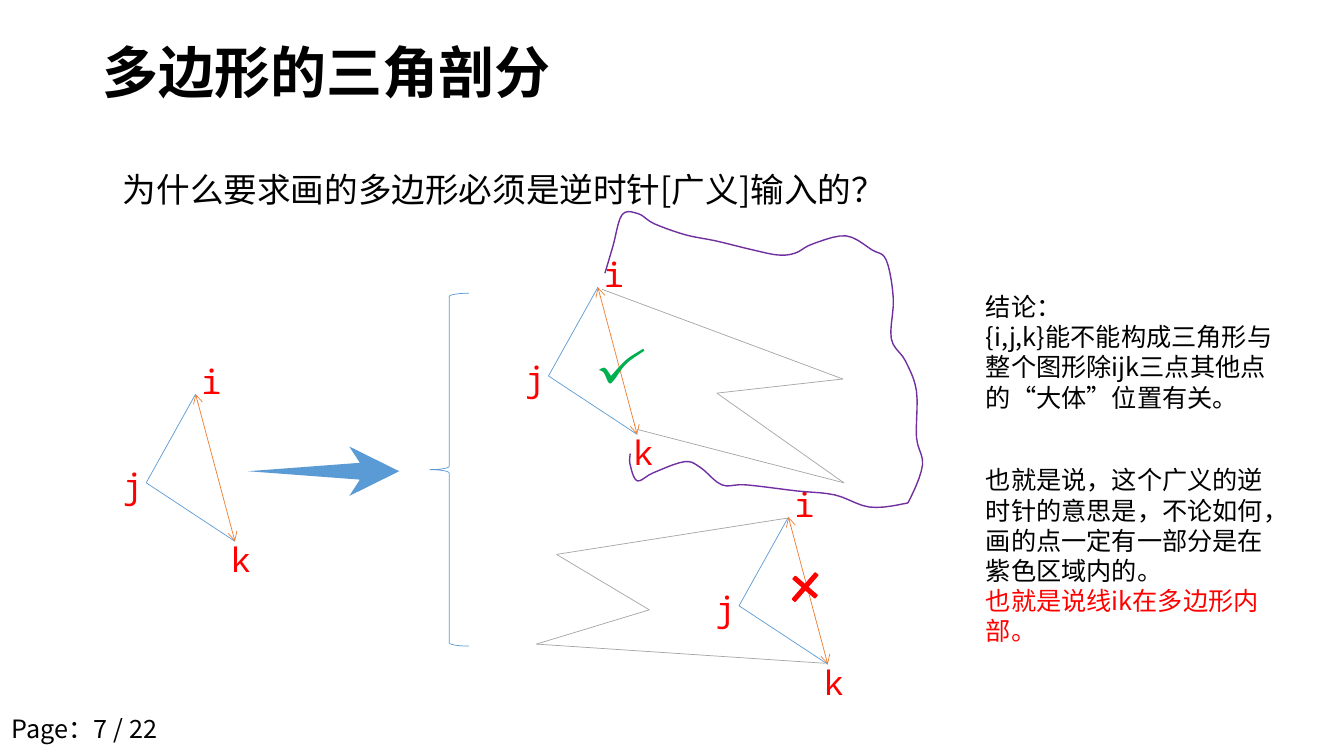
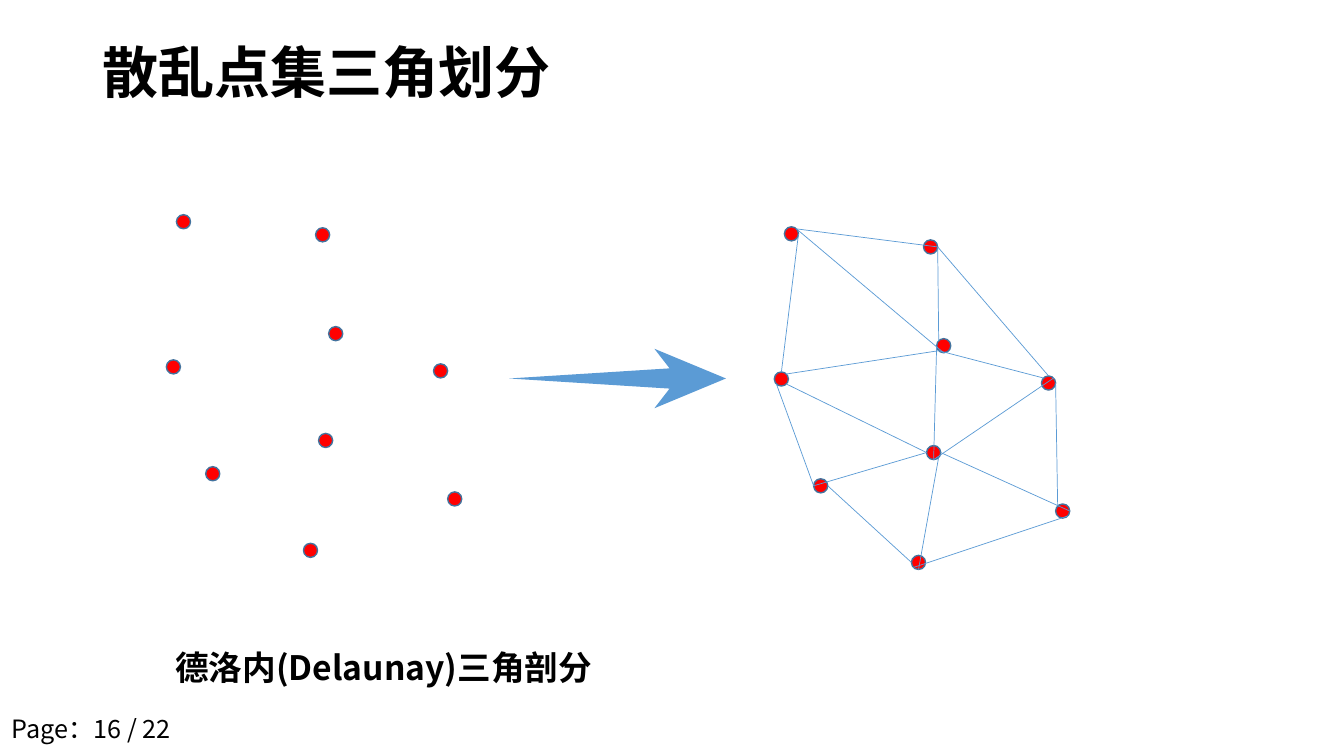
from itertools import pairwise
from math import sqrt

from lxml.etree import SubElement
from pptx import Presentation
from pptx.dml.color import RGBColor
from pptx.enum.shapes import MSO_CONNECTOR as Connector, MSO_SHAPE as Preset
from pptx.enum.text import MSO_ANCHOR as Anchor
from pptx.oxml.ns import qn
from pptx.util import Inches, Pt

COLORS = {
    "text": "000000",
    "red": "FF0000",
    "blue": "5B9BD5",
    "dot_edge": "43739E",
    "orange": "ED7D31",
    "gray": "A5A5A5",
    "green": "00B050",
    "purple": "7030A0",
}
SANS = "Noto Sans CJK SC"
MONO = "Noto Sans Mono"
PAGE_COUNT = 22

ARROW_TIP, ARROW_TAIL = (1, 0.5), (0, 0.5)
ARROW_BARB, ARROW_NOTCH = 0.67, (0.74, 0.33)

TRIANGLE_CORNERS = {"i": (0, 0), "j": (-0.49, 0.88), "k": (0.39, 1.46)}
TRIANGLE_LABELS = {"i": (-0.04, -0.38), "j": (-0.82, 0.65), "k": (0.25, 1.39)}
LONE_TRIANGLE = (1.94, 3.91)
INNER_TRIANGLE = (5.93, 2.85)
OUTER_TRIANGLE = (7.82, 5.13)

UPPER_POLYGON = [(6.32, 4.26), (8.37, 4.79), (7.11, 3.9), (8.36, 3.76), (5.97, 2.87)]
LOWER_POLYGON = [(7.81, 5.14), (5.52, 5.5), (6.44, 6.05), (5.32, 6.39), (8.18, 6.58)]

REGION_TOP = [
    (6, 2.71), (6.08, 2.44), (6.17, 2.13), (6.33, 2.12), (6.49, 2.22), (6.8, 2.33),
    (7.1, 2.39), (7.47, 2.48), (7.72, 2.53), (7.89, 2.51), (8.06, 2.42), (8.39, 2.34),
]
REGION_RIGHT = [
    (8.65, 2.48), (8.79, 2.58), (8.86, 2.96), (8.84, 3.36), (8.98, 3.58),
    (9.09, 3.88), (9.09, 4.34), (9.15, 4.61), (9.03, 4.94),
]
REGION_BOTTOM = [
    (8.95, 5), (8.62, 5.03), (8.28, 4.91), (7.9, 4.87), (7.4, 4.81), (7.16, 4.81),
    (6.95, 4.64), (6.79, 4.58), (6.48, 4.69), (6.32, 4.77), (6.25, 4.61), (6.25, 4.5),
]
TICK_UNDERSIDE = [(6.39, 3.48), (6.21, 3.61), (6.09, 3.77), (6.04, 3.8),
                  (5.99, 3.7), (5.94, 3.67)]
TICK_HOOK = [(5.94, 3.67), (6, 3.65), (6.06, 3.73)]
TICK_UPSTROKE = [(6.06, 3.73), (6.21, 3.57), (6.38, 3.46)]

DOT_SIZE = 0.14
DOTS = {
    "A": (1.75, 2.13), "B": (3.13, 2.26), "C": (3.26, 3.24),
    "D": (3.16, 4.3), "E": (4.3, 3.61), "F": (4.44, 4.88),
    "G": (3.01, 5.39), "H": (2.04, 4.63), "I": (1.65, 3.57),
}
MESH_SHIFT = (6.03, 0.12)
COMPASS = {"n": (0, -1), "s": (0, 1), "w": (-1, 0), "e": (1, 0)}
HULL_EDGES = "A.ne-B.e A.e-I.n I.sw-H.w H.e-G.w G.sw-F.se F.nw-E.e E.n-B.e"
INNER_EDGES = ("C.sw-E.nw C.nw-B.e C.s-A.ne C.sw-I.ne C.w-D.s "
               "D.s-E.ne D.e-F.e D.se-G.s D.w-H.w D.w-I.se")


def rgb(name):
    return RGBColor.from_string(COLORS[name])


def add_text(paragraph, text, font=SANS, size=18, color="text", bold=False):
    span = paragraph.add_run()
    span.text = text
    span.font.name = font
    span.font.size = Pt(size)
    span.font.bold = bold
    span.font.color.rgb = rgb(color)
    east_asian = SubElement(span.font._element, qn("a:ea"))
    east_asian.set("typeface", font)


def shifted(point, offset):
    return point[0] + offset[0], point[1] + offset[1]


def smooth(anchors, steps=5):
    padded = [anchors[0], *anchors, anchors[-1]]
    points = [anchors[0]]
    for window in zip(padded, padded[1:], padded[2:], padded[3:]):
        for step in range(1, steps + 1):
            t = step / steps
            points.append(tuple(
                b + t * (c - a) / 2
                + t ** 2 * (2 * a - 5 * b + 4 * c - d) / 2
                + t ** 3 * (3 * b - a - 3 * c + d) / 2
                for a, b, c, d in zip(*window)))
    return points


def rim_point(site):
    name, heading = site.split(".")
    reach = DOT_SIZE / 2 / sqrt(len(heading))
    x, y = shifted(DOTS[name], (DOT_SIZE / 2, DOT_SIZE / 2))
    for letter in heading:
        dx, dy = COMPASS[letter]
        x, y = x + dx * reach, y + dy * reach
    return shifted((x, y), MESH_SHIFT)


class Sketch:
    def __init__(self, deck):
        self.deck = deck
        self.page = None

    def start(self, title, number):
        self.page = self.deck.slides.add_slide(self.deck.slide_layouts[6])
        heading = self.text(0.92, 0.02, 11.5, 1.45, title, size=40, bold=True)
        heading.text_frame.vertical_anchor = Anchor.MIDDLE
        heading.text_frame.paragraphs[0].line_spacing = 0.9
        self.text(0.02, 7.03, 1.92, 0.4, f"Page：{number} / {PAGE_COUNT}")

    def text(self, left, top, width, height, *lines, last_color=None, **style):
        box = self.page.shapes.add_textbox(*map(Inches, (left, top, width, height)))
        frame = box.text_frame
        frame.word_wrap = True
        for index, line in enumerate(lines):
            para = frame.add_paragraph() if index else frame.paragraphs[0]
            if last_color and index == len(lines) - 1:
                style["color"] = last_color
            add_text(para, line, **style)
        return box

    def paint(self, shape, fill=None, line=None, weight=1):
        shape.shadow.inherit = False
        if fill:
            shape.fill.solid()
            shape.fill.fore_color.rgb = rgb(fill)
        else:
            shape.fill.background()
        if line:
            shape.line.color.rgb = rgb(line)
            shape.line.width = Pt(weight)
        else:
            shape.line.fill.background()
        return shape

    def shape(self, preset, left, top, width, height, **style):
        shape = self.page.shapes.add_shape(
            preset, *map(Inches, (left, top, width, height)))
        return self.paint(shape, **style)

    def outline(self, points, closed=True, **style):
        first, *rest = [(Inches(x), Inches(y)) for x, y in points]
        builder = self.page.shapes.build_freeform(*first)
        builder.add_line_segments(rest, close=closed)
        return self.paint(builder.convert_to_shape(), **style)

    def line(self, start, end, color="blue", arrows=False):
        connector = self.page.shapes.add_connector(
            Connector.STRAIGHT, *map(Inches, (*start, *end)))
        connector.line.color.rgb = rgb(color)
        connector.line.width = Pt(0.5)
        properties = connector._element.spPr
        if arrows:
            for tag in ("a:headEnd", "a:tailEnd"):
                SubElement(properties.find(qn("a:ln")), qn(tag)).set("type", "arrow")
        SubElement(properties, qn("a:effectLst"))

    def chain(self, points, color):
        for start, end in pairwise(points):
            self.line(start, end, color=color)

    def arrow(self, left, top, width, height):
        notch_x, notch_y = ARROW_NOTCH
        points = [(ARROW_BARB, 0), ARROW_TIP, (ARROW_BARB, 1),
                  (notch_x, 1 - notch_y), ARROW_TAIL, ARROW_NOTCH]
        self.outline([(left + x * width, top + y * height) for x, y in points],
                     fill="blue")

    def triangle(self, origin):
        corners = {name: shifted(offset, origin)
                   for name, offset in TRIANGLE_CORNERS.items()}
        self.chain([corners[name] for name in "ijk"], color="blue")
        self.line(corners["i"], corners["k"], color="orange", arrows=True)
        for name, offset in TRIANGLE_LABELS.items():
            self.text(*shifted(offset, origin), 0.55, 0.5, name,
                      font=MONO, size=24, color="red")

    def dots(self, shift=(0, 0)):
        for corner in DOTS.values():
            self.shape(Preset.OVAL, *shifted(corner, shift), DOT_SIZE, DOT_SIZE,
                       fill="red", line="dot_edge")

    def mesh(self):
        self.dots(MESH_SHIFT)
        for edge in f"{HULL_EDGES} {INNER_EDGES}".split():
            self.line(*map(rim_point, edge.split("-")))

    def tick(self):
        strokes = (TICK_UNDERSIDE, TICK_HOOK, TICK_UPSTROKE)
        self.outline([point for stroke in strokes for point in smooth(stroke)],
                     fill="green")

    def cross(self, left, top):
        cross = self.shape(Preset.MATH_PLUS, left, top, 0.39, 0.47,
                           fill="red", line="red")
        cross.rotation = 41
        cross.adjustments[0] = 0.09


def polygon_page(sketch):
    sketch.start("多边形的三角剖分", 7)
    sketch.text(1.12, 1.63, 7.73, 1.31,
                "为什么要求画的多边形必须是逆时针[广义]输入的？", size=24)
    for origin in (LONE_TRIANGLE, INNER_TRIANGLE, OUTER_TRIANGLE):
        sketch.triangle(origin)
    sketch.arrow(2.46, 4.43, 1.5, 0.49)
    sketch.shape(Preset.LEFT_BRACE, 4.26, 2.91, 0.39, 3.5, line="blue", weight=0.5)
    for polygon in (UPPER_POLYGON, LOWER_POLYGON):
        sketch.chain(polygon, color="gray")
    sketch.tick()
    sketch.cross(7.79, 5.59)
    sketch.text(9.68, 2.84, 3.14, 1.31, "结论：",
                "{i,j,k}能不能构成三角形与整个图形除ijk三点其他点的“大体”位置有关。")
    sketch.outline(smooth(REGION_TOP + REGION_RIGHT + REGION_BOTTOM),
                   closed=False, line="purple")
    sketch.text(9.68, 4.56, 3.03, 1.92,
                "也就是说，这个广义的逆时针的意思是，不论如何，画的点一定有一部分是在紫色区域内的。",
                "也就是说线ik在多边形内部。", last_color="red")


def scatter_page(sketch):
    sketch.start("散乱点集三角划分", 16)
    sketch.mesh()
    sketch.dots()
    sketch.arrow(5.05, 3.46, 2.15, 0.59)
    sketch.text(1.64, 6.37, 7.09, 0.5, "德洛内(Delaunay)三角剖分", size=24, bold=True)


def main():
    deck = Presentation()
    deck.slide_width = Inches(13.33)
    deck.slide_height = Inches(7.5)
    sketch = Sketch(deck)
    polygon_page(sketch)
    scatter_page(sketch)
    deck.save("out.pptx")


if __name__ == "__main__":
    main()
